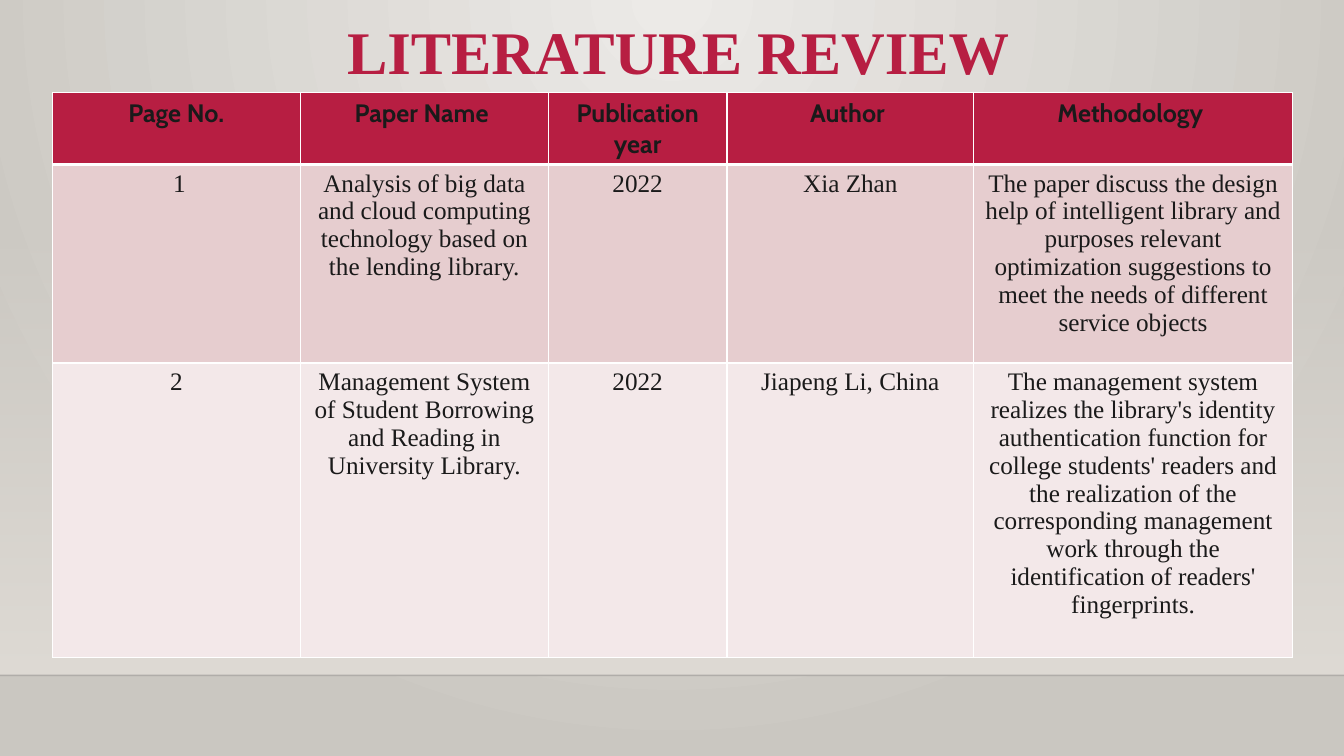
from pptx import Presentation
from pptx.dml.color import RGBColor
from pptx.enum.shapes import MSO_CONNECTOR, MSO_SHAPE
from pptx.enum.text import MSO_ANCHOR, MSO_AUTO_SIZE, PP_ALIGN
from pptx.oxml import parse_xml
from pptx.oxml.ns import nsdecls, qn
from pptx.util import Cm, Pt
from lxml import etree

RECTANGLE = MSO_SHAPE.RECTANGLE
STRAIGHT = MSO_CONNECTOR.STRAIGHT
CENTER = PP_ALIGN.CENTER
TOP = MSO_ANCHOR.TOP
NO_AUTOFIT = MSO_AUTO_SIZE.NONE

COLORS = {
    "crimson": "B71E42",
    "text": "1A1A1A",
    "rose": "E6CDCF",
    "blush": "F3E8E9",
    "white": "FFFFFF",
    "glow": "ECEAE7",
    "stone": "CAC7C1",
    "wall": "DFDBD5",
    "floor_line": "000001",
}
SERIF = "Times New Roman"
SANS = "Cabin"


def set_gradient(fill, properties, start, end, start_alpha, direction):
    fill.gradient()
    old = properties.find(qn("a:gradFill"))
    new = parse_xml(
        f'<a:gradFill {nsdecls("a")} rotWithShape="1"><a:gsLst>'
        f'<a:gs pos="0"><a:srgbClr val="{start}"><a:alpha val="{start_alpha}"/></a:srgbClr></a:gs>'
        f'<a:gs pos="100000"><a:srgbClr val="{end}"/></a:gs>'
        f'</a:gsLst>{direction}</a:gradFill>'
    )
    properties.replace(old, new)


def add_text(frame, text, font, size, color, bold):
    para = frame.paragraphs[0]
    para.alignment = CENTER
    span = para.add_run()
    span.text = text
    span.font.name = font
    span.font.size = Pt(size)
    span.font.bold = bold
    span.font.color.rgb = RGBColor.from_string(COLORS[color])
    return para


deck = Presentation()
deck.slide_width = Cm(33.87)
deck.slide_height = Cm(19.05)
page = deck.slides.add_slide(deck.slide_layouts[5])

backdrop = page.background.fill
set_gradient(
    backdrop, page.element.cSld.find(qn("p:bg")).find(qn("p:bgPr")),
    COLORS["glow"], COLORS["stone"], 100000,
    '<a:path path="circle"><a:fillToRect l="43000" r="43000" b="100000"/></a:path>',
)

wall = page.shapes.add_shape(RECTANGLE, 0, Cm(5.61), deck.slide_width, Cm(11.41))
wall.shadow.inherit = False
wall.line.fill.background()
set_gradient(
    wall.fill, wall.element.spPr, COLORS["wall"], COLORS["wall"], 0,
    '<a:lin ang="5400000" scaled="0"/>',
)

floor_line = page.shapes.add_connector(STRAIGHT, 0, Cm(17.02), deck.slide_width, Cm(17.02))
floor_line.line.width = Pt(1)
floor_line.line.color.rgb = RGBColor.from_string(COLORS["floor_line"])
floor_color = next(floor_line.element.spPr.iter(qn("a:srgbClr")))
etree.SubElement(floor_color, qn("a:alpha"), val="20000")
etree.SubElement(floor_line.element.spPr, qn("a:effectLst"))

title = page.shapes.title
title.left, title.top, title.width, title.height = Cm(1.32), Cm(0.43), Cm(31.55), Cm(1.42)
title.text_frame.auto_size = NO_AUTOFIT
title.text_frame.vertical_anchor = TOP
title.text_frame.word_wrap = True
heading = add_text(title.text_frame, "LITERATURE REVIEW", SERIF, 43.2, "crimson", True)
heading.line_spacing = 0.9
page.shapes._spTree.append(title.element)

papers = [
    ["Page No.", "Paper Name ", "Publication year", "Author ", "Methodology "],
    [
        " 1",
        "Analysis of big data and cloud computing technology based on the lending library.",
        "2022",
        "Xia Zhan",
        "The paper discuss the design help of intelligent library and purposes relevant "
        "optimization suggestions to meet the needs of different service objects",
    ],
    [
        "2",
        "Management System of Student Borrowing and Reading in University Library.",
        "2022",
        "Jiapeng Li, China",
        "The management system realizes the library's identity authentication function for "
        "college students' readers and the realization of the corresponding management work "
        "through the identification of readers' fingerprints.",
    ],
]
column_widths = [6.25, 6.25, 4.5, 6.22, 8.03]
row_heights = [1.75, 5, 7.42]
row_fills = ["crimson", "rose", "blush"]

frame = page.shapes.add_table(
    len(papers), len(column_widths), Cm(1.32), Cm(2.34),
    Cm(sum(column_widths)), Cm(sum(row_heights)),
)
table = frame.table
for column, width in zip(table.columns, column_widths):
    column.width = Cm(width)
for row, height in zip(table.rows, row_heights):
    row.height = Cm(height)

for row_index, paper in enumerate(papers):
    is_header = row_index == 0
    for column_index, text in enumerate(paper):
        cell = table.cell(row_index, column_index)
        add_text(cell.text_frame, text, SANS if is_header else SERIF, 18, "text", is_header)
        borders = {"lnL": 1, "lnR": 1, "lnT": 3 if row_index == 1 else 1, "lnB": 3 if is_header else 1}
        properties = cell._tc.get_or_add_tcPr()
        for side, width in borders.items():
            border = etree.SubElement(properties, qn(f"a:{side}"), w=str(Pt(width)))
            paint = etree.SubElement(border, qn("a:solidFill"))
            etree.SubElement(paint, qn("a:srgbClr"), val=COLORS["white"])
        cell.fill.solid()
        cell.fill.fore_color.rgb = RGBColor.from_string(COLORS[row_fills[row_index]])

deck.save("out.pptx")
